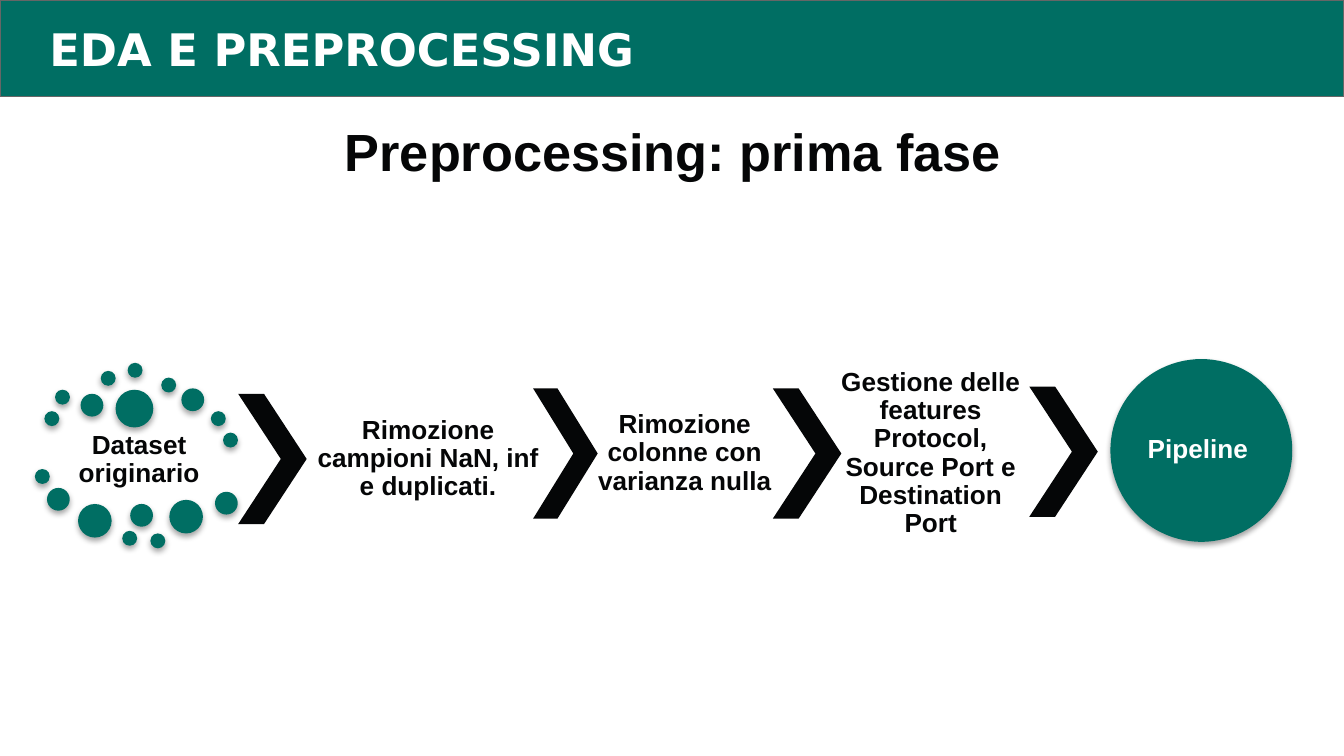
from typing import NamedTuple

from lxml.etree import SubElement
from pptx import Presentation
from pptx.dml.color import RGBColor
from pptx.enum.shapes import MSO_SHAPE as Shape
from pptx.enum.text import MSO_ANCHOR as Anchor, PP_ALIGN as Align
from pptx.oxml.ns import qn
from pptx.util import Pt

GREEN, BLACK, WHITE, GREY = "006E63", "050607", "FFFFFF", "666666"


class Box(NamedTuple):
    left: float
    top: float
    width: float
    height: float


class Label(NamedTuple):
    text: str
    box: Box
    color: str = BLACK
    size: float = 14
    font: str = "Arial"
    align: Align = Align.CENTER
    anchor: Anchor = Anchor.MIDDLE
    inset: float = 1.44
    spacing: float = 0.9


def rgb(color: str) -> RGBColor:
    return RGBColor.from_string(color)


def add_figure(s, kind: Shape, box: Box, fill: str):
    sp = s.shapes.add_shape(kind, *map(Pt, box))
    sp.shadow.inherit = False
    sp.fill.solid()
    sp.fill.fore_color.rgb = rgb(fill)
    sp.line.fill.background()
    return sp


def add_circle(s, box: Box) -> None:
    """Green circle with a soft shadow straight below."""
    sp = add_figure(s, Shape.OVAL, box, GREEN)
    effects = sp._element.spPr.find(qn("a:effectLst"))
    shadow = SubElement(effects, qn("a:outerShdw"), blurRad=str(Pt(3.1)),
                        dist=str(Pt(1.8)), dir="5400000", rotWithShape="0")
    color = SubElement(shadow, qn("a:srgbClr"), val="000000")
    SubElement(color, qn("a:alpha"), val="35000")


def add_label(s, label: Label) -> None:
    tf = s.shapes.add_textbox(*map(Pt, label.box)).text_frame
    tf.word_wrap = True
    tf.vertical_anchor = label.anchor
    tf.margin_left = tf.margin_right = Pt(label.inset)
    tf.margin_top = tf.margin_bottom = Pt(label.inset)
    tf.text = label.text
    p = tf.paragraphs[0]
    p.alignment = label.align
    p.line_spacing = label.spacing
    font = p.runs[0].font
    font.name, font.size, font.bold = label.font, Pt(label.size), True
    font.color.rgb = rgb(label.color)


HEADINGS = [
    Label("EDA E PREPROCESSING", Box(19.4, 4.3, 686.2, 43.9), WHITE, 24,
          "DejaVu Sans", Align.LEFT, Anchor.TOP, 7.2, 1),
    Label("Preprocessing: prima fase", Box(61.2, 56.9, 598.3, 116.6),
          size=28, anchor=Anchor.TOP, inset=7.2, spacing=1),
]

# Left and top of the scattered dots, by diameter
DOTS = {
    8: [(23.8, 220.3), (29.5, 208.8), (54, 198.7), (68.4, 194.4),
        (86.4, 202.3), (113, 220.3), (119.5, 231.8), (18.7, 251.3),
        (65.5, 284.4), (80.6, 285.8)],
    12.2: [(43.2, 211), (97.2, 208.1), (25.2, 261.4), (69.8, 270),
           (115.2, 263.5)],
    18: [(41.8, 270), (90.7, 267.8)],
    20.2: [(61.9, 208.8)],
}

STEP_H = 69.8
CHEVRONS = [Box(127.6, 211, 36.7, STEP_H), Box(285.6, 208.1, 34.6, STEP_H),
            Box(414, 208.1, 36.7, STEP_H), Box(551.4, 207.1, 36.7, STEP_H)]

STEPS = [
    Label("Dataset originario", Box(24.5, 229.7, 100.1, 33.1)),
    Label("Rimozione campioni NaN, inf e duplicati.",
          Box(164.2, 211, 130.3, STEP_H)),
    Label("Rimozione colonne con varianza nulla",
          Box(316.8, 208.1, 100.1, STEP_H)),
    Label("Gestione delle features Protocol, Source Port e Destination Port",
          Box(448.2, 208.1, 100.8, STEP_H)),
    Label("Pipeline ", Box(609.1, 206.6, 69.1, 69.1), WHITE, inset=0),
]


def main() -> None:
    prs = Presentation()
    prs.slide_width, prs.slide_height = Pt(720), Pt(405)
    s = prs.slides.add_slide(prs.slide_layouts[6])

    # Header band
    band = add_figure(s, Shape.RECTANGLE, Box(0, 0, 720, 51.8), GREEN)
    band.line.color.rgb = rgb(GREY)
    band.line.width = Pt(0.75)

    # Raw data cloud and final circle
    for size, places in DOTS.items():
        for left, top in places:
            add_circle(s, Box(left, top, size, size))
    add_circle(s, Box(594.9, 192.4, 97.4, 97.9))

    # Arrows between the steps
    for box in CHEVRONS:
        add_figure(s, Shape.CHEVRON, box, BLACK).adjustments[0] = 0.623

    # Headings and step texts
    for label in HEADINGS + STEPS:
        add_label(s, label)

    prs.save("out.pptx")


if __name__ == "__main__":
    main()
